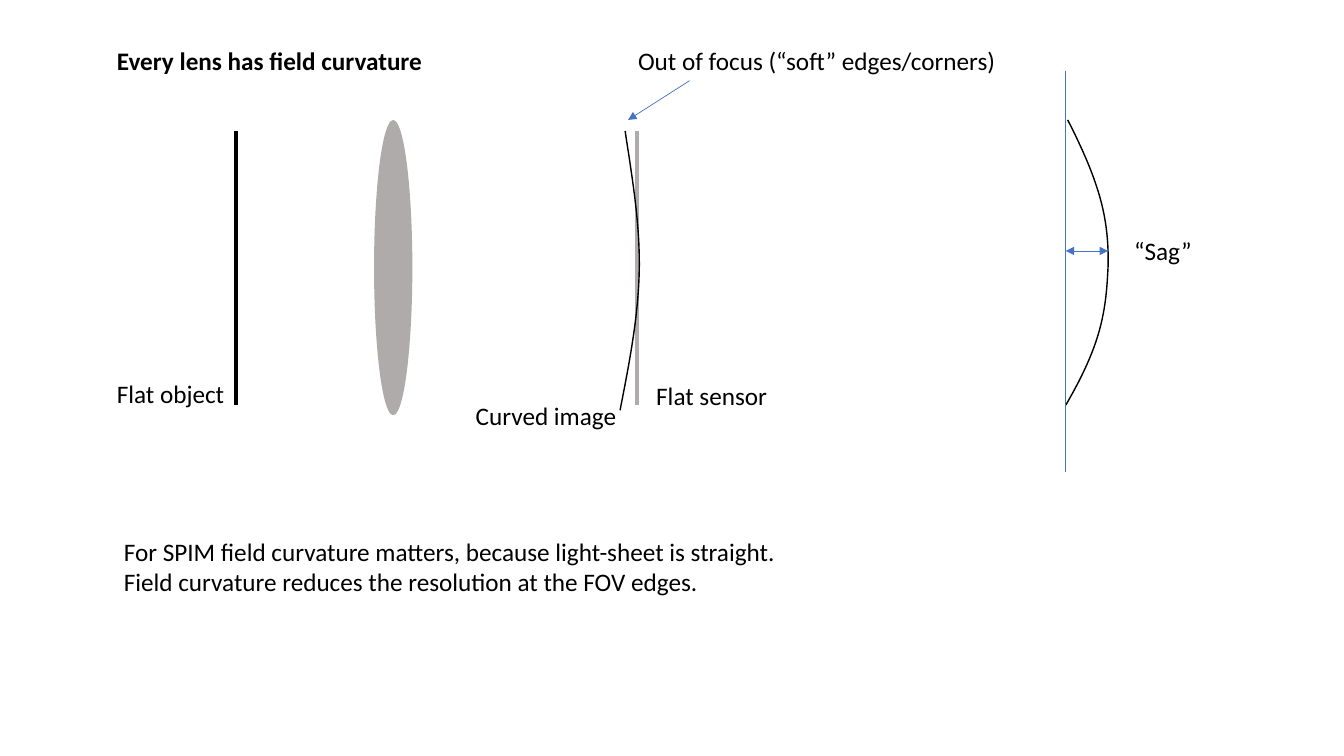
from lxml.etree import SubElement
from pptx import Presentation
from pptx.dml.color import RGBColor
from pptx.enum.shapes import MSO_CONNECTOR, MSO_SHAPE
from pptx.enum.text import MSO_ANCHOR, MSO_AUTO_SIZE, PP_ALIGN
from pptx.oxml.ns import qn
from pptx.util import Inches, Pt

BLACK, GREY, BLUE = "000000", "AFABAB", "4472C4"


def rgb(value):
    return RGBColor.from_string(value)


def write_text(tf, text, font="Calibri", size=18, color=BLACK, bold=False):
    """Fill a text frame, one paragraph per line of text."""
    tf.word_wrap = False
    tf.auto_size = MSO_AUTO_SIZE.SHAPE_TO_FIT_TEXT
    tf.vertical_anchor = MSO_ANCHOR.TOP
    for i, line in enumerate(text.split("\n")):
        p = tf.paragraphs[0] if i == 0 else tf.add_paragraph()
        p.alignment = PP_ALIGN.LEFT
        r = p.add_run()
        r.text = line
        r.font.name, r.font.size, r.font.bold = font, Pt(size), bold
        r.font.color.rgb = rgb(color)


def bezier(p0, p1, p2, p3, steps=24):
    """Points along a cubic curve, without its start."""
    for t in (i / steps for i in range(1, steps + 1)):
        u = 1 - t
        yield tuple(u**3 * a + 3 * u * u * t * b + 3 * u * t * t * c + t**3 * d
                    for a, b, c, d in zip(p0, p1, p2, p3))


class Diagram:
    def __init__(self, slide):
        self.s = slide

    def title(self, text, x, y, w, h):
        sp = self.s.shapes.title
        sp.left, sp.top, sp.width, sp.height = map(Inches, (x, y, w, h))
        write_text(sp.text_frame, text, bold=True)

    def label(self, text, x, y, w, h=0.4):
        sp = self.s.shapes.add_textbox(*map(Inches, (x, y, w, h)))
        write_text(sp.text_frame, text)

    def line(self, start, end, color=BLUE, width=0.5, head=False, tail=False):
        sp = self.s.shapes.add_connector(
            MSO_CONNECTOR.STRAIGHT, *map(Inches, (*start, *end)))
        sp.line.color.rgb = rgb(color)
        sp.line.width = Pt(width)
        ln = sp.line._get_or_add_ln()
        for tag, wanted in (("a:headEnd", head), ("a:tailEnd", tail)):
            if wanted:
                SubElement(ln, qn(tag), type="triangle")
        SubElement(sp._element.spPr, qn("a:effectLst"))

    def ellipse(self, x, y, w, h, color):
        sp = self.s.shapes.add_shape(MSO_SHAPE.OVAL, *map(Inches, (x, y, w, h)))
        sp.fill.solid()
        sp.fill.fore_color.rgb = rgb(color)
        sp.line.fill.background()
        sp.shadow.inherit = False

    def curve(self, start, *segments):
        points = [start]
        for segment in segments:
            points += bezier(points[-1], *segment)
        points = [(Inches(x), Inches(y)) for x, y in points]
        fb = self.s.shapes.build_freeform(*points[0])
        fb.add_line_segments(points[1:], close=False)
        sp = fb.convert_to_shape()
        sp.fill.background()
        sp.line.color.rgb = rgb(BLACK)
        sp.line.width = Pt(1)
        sp.shadow.inherit = False


def main():
    prs = Presentation()
    prs.slide_width, prs.slide_height = Inches(13.33), Inches(7.5)
    d = Diagram(prs.slides.add_slide(prs.slide_layouts[5]))
    d.title("Every lens has field curvature", 1.06, 0.4, 3.25, 0.4)

    # Flat object and lens
    top, bottom = 1.3, 4.02
    d.line((2.34, top), (2.34, bottom), BLACK, 3)
    d.ellipse(3.71, 1.19, 0.38, 2.93, GREY)
    d.label("Flat object", 1.06, 3.7, 1.28)

    # Flat sensor and curved image
    d.line((6.32, top), (6.32, bottom), GREY, 3)
    d.label("Flat sensor", 6.41, 3.72, 1.31)
    d.curve((6.2, top),
            ((6.27, 1.76), (6.35, 2.23), (6.34, 2.69)),
            ((6.33, 3.15), (6.24, 3.61), (6.15, 4.07)))
    d.label("Curved image", 4.62, 3.92, 1.61)
    d.label("Out of focus (“soft” edges/corners)", 6.23, 0.4, 3.79)
    d.line((6.84, 0.8), (6.23, 1.19), tail=True)

    # Conclusion
    d.label("For SPIM field curvature matters, because light-sheet is straight.\n"
            "Field curvature reduces the resolution at the FOV edges.",
            1.13, 5.27, 6.8, 0.71)

    # Sag of the curved field
    axis, vertex = 10.57, 10.99
    d.curve((10.59, 1.19),
            ((10.91, 1.82), (11, 2.17), (vertex, 2.64)),
            ((10.97, 3.1), (10.92, 3.42), (axis, bottom)))
    d.line((axis, 0.7), (axis, 4.68))
    d.line((axis, 2.49), (vertex, 2.49), head=True, tail=True)
    d.label("“Sag”", 11.15, 2.29, 0.77)

    prs.save("out.pptx")


if __name__ == "__main__":
    main()
